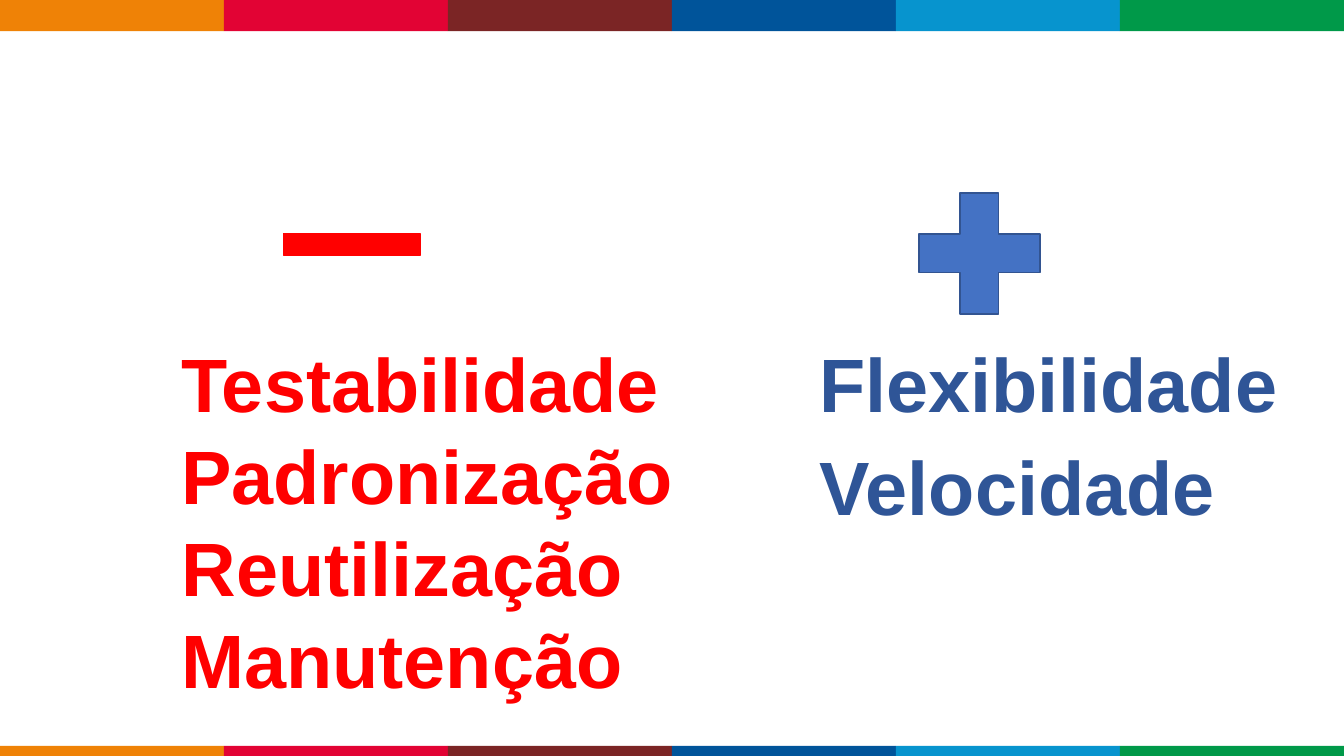
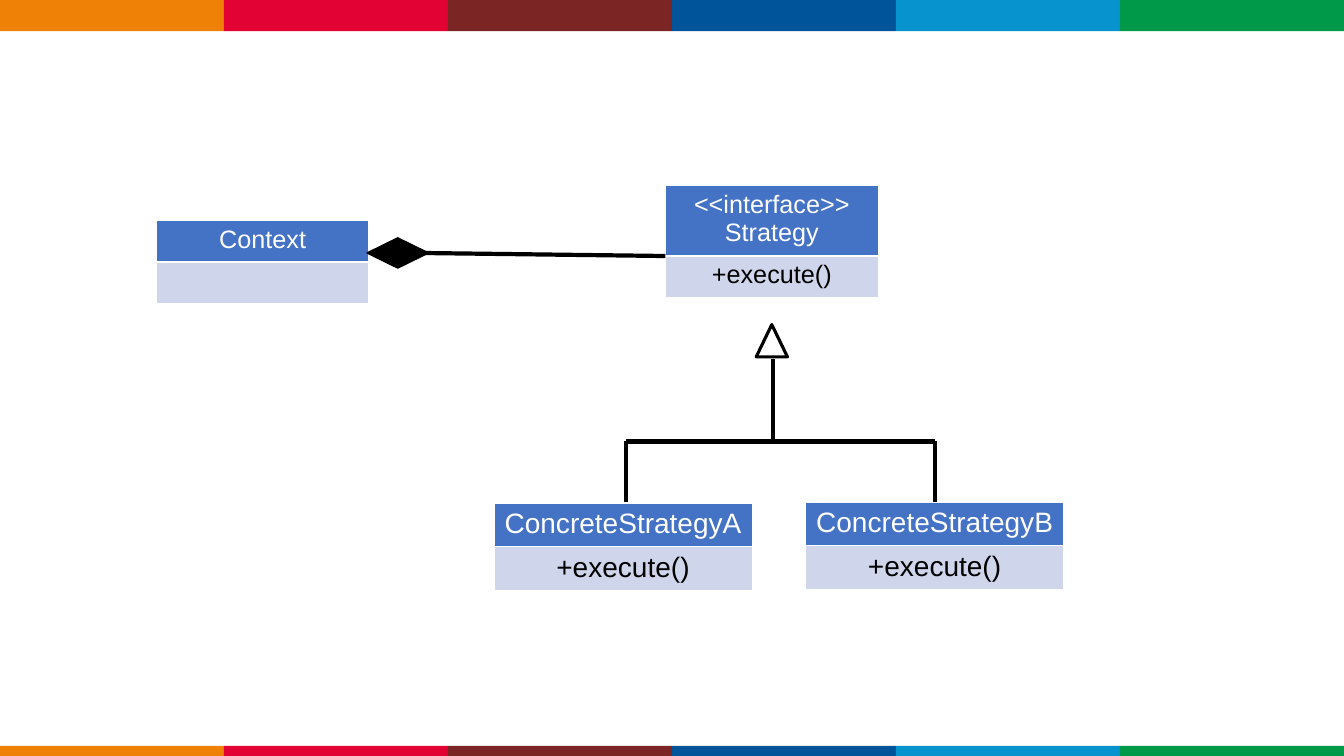
from lxml import etree
from pptx import Presentation
from pptx.dml.color import RGBColor
from pptx.enum.shapes import MSO_CONNECTOR, MSO_SHAPE
from pptx.enum.text import PP_ALIGN
from pptx.oxml.ns import qn
from pptx.util import Inches, Pt

RECTANGLE = MSO_SHAPE.RECTANGLE
PLUS = MSO_SHAPE.MATH_PLUS
MINUS = MSO_SHAPE.MATH_MINUS
TRIANGLE = MSO_SHAPE.ISOSCELES_TRIANGLE
DIAMOND = MSO_SHAPE.FLOWCHART_DECISION
STRAIGHT = MSO_CONNECTOR.STRAIGHT
CENTER = PP_ALIGN.CENTER

FONT = "Arial"
WHITE = RGBColor(0xFF, 0xFF, 0xFF)
BLACK = RGBColor(0x00, 0x00, 0x00)
RED = RGBColor(0xFF, 0x00, 0x00)
BLUE = RGBColor(0x44, 0x72, 0xC4)
DARK_BLUE = RGBColor(0x2F, 0x55, 0x97)
OUTLINE_BLUE = RGBColor(0x32, 0x54, 0x91)
PALE_BLUE = RGBColor(0xCF, 0xD5, 0xEA)
BAND_COLORS = (
    RGBColor(0xEF, 0x82, 0x06),
    RGBColor(0xE2, 0x03, 0x34),
    RGBColor(0x7B, 0x25, 0x25),
    RGBColor(0x00, 0x54, 0x9A),
    RGBColor(0x07, 0x94, 0xCE),
    RGBColor(0x00, 0x99, 0x49),
)

SLIDE_WIDTH = 13.33
SLIDE_HEIGHT = 7.5
ROW_HEIGHT = 0.41


def add_shape(page, kind, left, top, width, height, fill=None, line=None, weight=1):
    shape = page.shapes.add_shape(
        kind, Inches(left), Inches(top), Inches(width), Inches(height)
    )
    shape.shadow.inherit = False
    if fill is None:
        shape.fill.background()
    else:
        shape.fill.solid()
        shape.fill.fore_color.rgb = fill
    if line is None:
        shape.line.fill.background()
    else:
        shape.line.color.rgb = line
        shape.line.width = Pt(weight)
    return shape


def add_bands(page, layout):
    """Draw the colour bands on the page, then move them to its layout."""
    for placeholder in list(layout.placeholders):
        layout.shapes.element.remove(placeholder.element)
    width = SLIDE_WIDTH / len(BAND_COLORS)
    bands = [
        add_shape(page, RECTANGLE, index * width, top, width, height, color)
        for top, height in ((0, 0.31), (7.4, 0.13))
        for index, color in enumerate(BAND_COLORS)
    ]
    for band in bands:
        layout.shapes.element.append(band.element)


def style_font(font, size, color, bold=False):
    font.name = FONT
    font.size = Pt(size)
    font.bold = bold
    font.color.rgb = color


def add_words(page, words, left, top, pitch, color):
    """Stack one large word per box, a fixed pitch apart."""
    for index, word in enumerate(words):
        box = page.shapes.add_textbox(
            Inches(left), Inches(top + index * pitch), Inches(5.3), Inches(0.91)
        )
        frame = box.text_frame
        frame.word_wrap = True
        frame.margin_left = frame.margin_right = Inches(0.16)
        frame.margin_top = frame.margin_bottom = Inches(0.1)
        para = frame.paragraphs[0]
        para.text = word
        para.line_spacing = 0.9
        style_font(para.font, 54, color, bold=True)


def add_class(page, name, method, left, top, width, size, name_height=ROW_HEIGHT):
    """Add a UML class as a table: name above, method below."""
    table = page.shapes.add_table(
        2, 1, Inches(left), Inches(top), Inches(width), Inches(name_height + ROW_HEIGHT)
    ).table
    table.rows[0].height = Inches(name_height)
    table.rows[1].height = Inches(ROW_HEIGHT)
    rows = ((name, BLUE, WHITE), (method, PALE_BLUE, BLACK))
    for index, (text, fill, color) in enumerate(rows):
        cell = table.cell(index, 0)
        cell.fill.solid()
        cell.fill.fore_color.rgb = fill
        para = cell.text_frame.paragraphs[0]
        para.text = text
        para.alignment = CENTER
        style_font(para.font, size, color)


def add_line(page, start, end):
    line = page.shapes.add_connector(
        STRAIGHT, *(Inches(value) for value in (*start, *end))
    )
    line.line.color.rgb = BLACK
    line.line.width = Pt(3)
    etree.SubElement(line.element.spPr, qn("a:effectLst"))


def build_trade_offs(page):
    losses = ("Testabilidade", "Padronização", "Reutilização", "Manutenção")
    add_words(page, losses, 1.64, 3.34, 0.915, RED)
    add_words(page, ("Flexibilidade", "Velocidade"), 7.97, 3.34, 1.03, DARK_BLUE)
    add_shape(page, PLUS, 8.9, 1.7, 1.63, 1.63, BLUE, OUTLINE_BLUE)
    add_shape(page, MINUS, 2.57, 1.97, 1.84, 0.91, RED, RED)


def build_strategy_diagram(page):
    method = "+execute()"
    add_class(page, "Context", "", 1.55, 2.19, 2.11, 18)
    add_class(page, "<<interface>>\vStrategy", method, 6.6, 1.84, 2.11, 18, 0.65)
    add_class(page, "ConcreteStrategyA", method, 4.9, 4.99, 2.56, 20)
    add_class(page, "ConcreteStrategyB", method, 7.99, 4.98, 2.56, 20)

    trunk_x, branch_y = 7.67, 4.38
    branch_left, branch_right = 6.21, 9.27
    add_line(page, (trunk_x, branch_y), (trunk_x, 3.56))
    add_shape(page, TRIANGLE, 7.5, 3.22, 0.31, 0.32, line=BLACK, weight=2.25)
    for branch_x in (branch_left, branch_right):
        add_line(page, (branch_x, 4.98), (branch_x, branch_y))
    add_line(page, (branch_right, branch_y), (branch_left, branch_y))

    add_shape(page, DIAMOND, 3.64, 2.36, 0.61, 0.3, BLACK, BLACK)
    add_line(page, (6.6, 2.54), (4.19, 2.51))


def main():
    deck = Presentation()
    deck.slide_width = Inches(SLIDE_WIDTH)
    deck.slide_height = Inches(SLIDE_HEIGHT)
    blank = deck.slide_layouts[6]
    trade_offs = deck.slides.add_slide(blank)
    add_bands(trade_offs, blank)
    build_trade_offs(trade_offs)
    build_strategy_diagram(deck.slides.add_slide(blank))
    deck.save("out.pptx")


if __name__ == "__main__":
    main()
